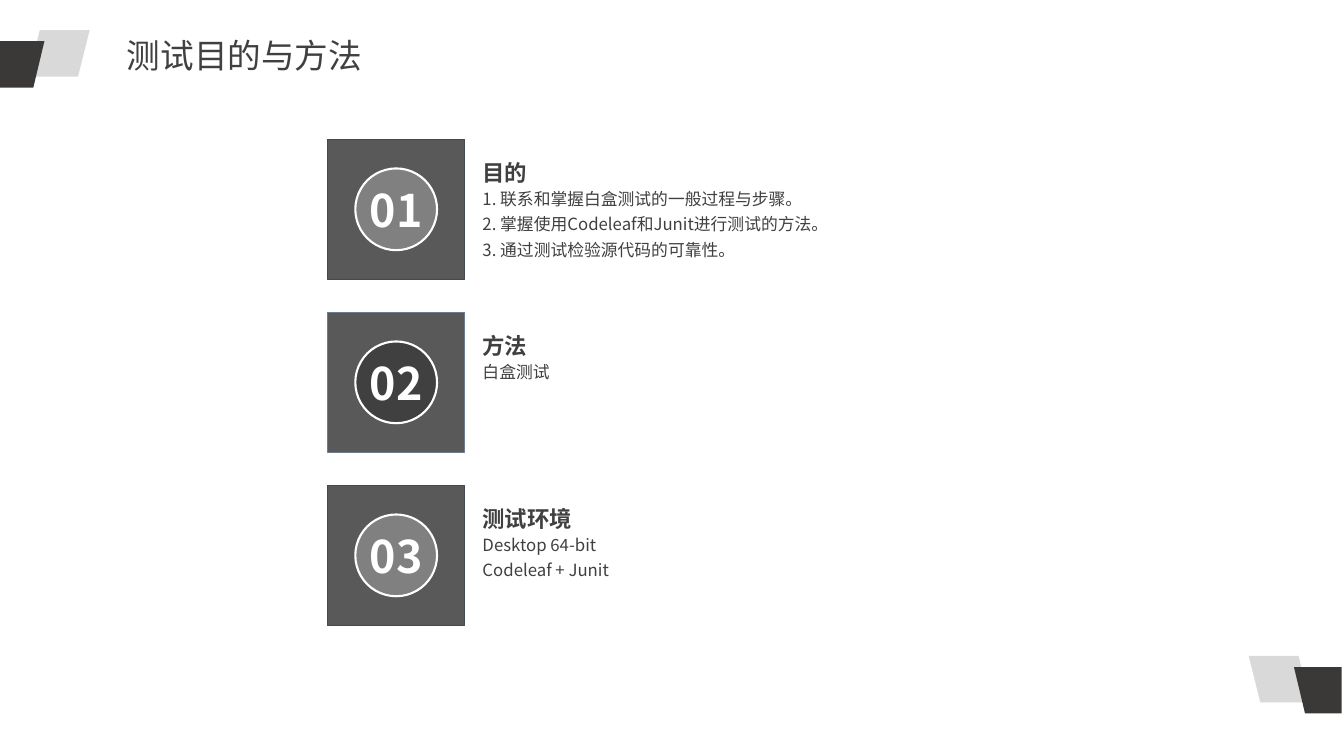
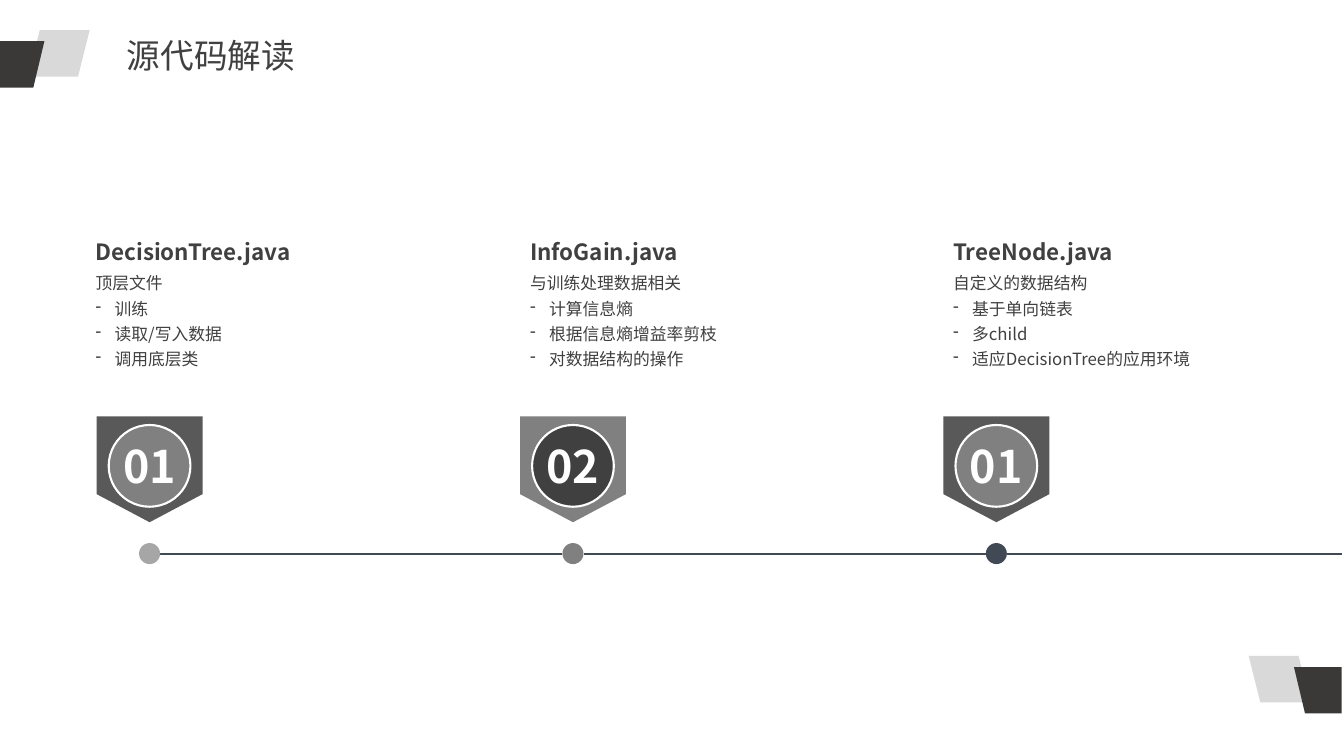
from lxml.etree import SubElement
from pptx import Presentation
from pptx.dml.color import RGBColor
from pptx.enum.shapes import MSO_CONNECTOR, MSO_SHAPE
from pptx.enum.text import MSO_ANCHOR, MSO_AUTO_SIZE, PP_ALIGN
from pptx.oxml.ns import qn
from pptx.util import Cm, Pt

FONT = "Noto Sans CJK SC"
HEX = {
    "white": "FFFFFF", "pale": "D9D9D9", "ash": "A6A6A6", "gray": "808080",
    "stone": "595959", "text": "404040", "coal": "3B3838",
    "navy": "414955", "steel": "6F7C8F",
}
WIDE, HIGH = 33.87, 19.05
DISC = 2.06

TOPICS = [
    ("01", "gray", "navy", "目的", [
        "1. 联系和掌握白盒测试的一般过程与步骤。",
        "2. 掌握使用Codeleaf和Junit进行测试的方法。",
        "3. 通过测试检验源代码的可靠性。"]),
    ("02", "text", "steel", "方法", ["白盒测试"]),
    ("03", "gray", "navy", "测试环境", ["Desktop 64-bit", "Codeleaf + Junit"]),
]

# number, disc, pin, dot, text left, file, lines
FILES = [
    ("01", "gray", "stone", "ash", 2.16, "DecisionTree.java",
     ["顶层文件", "训练", "读取/写入数据", "调用底层类"]),
    ("02", "text", "gray", "gray", 13.11, "InfoGain.java",
     ["与训练处理数据相关", "计算信息熵", "根据信息熵增益率剪枝", "对数据结构的操作"]),
    ("01", "gray", "stone", "navy", 23.77, "TreeNode.java",
     ["自定义的数据结构", "基于单向链表", "多child", "适应DecisionTree的应用环境"]),
]


def tint(name):
    return RGBColor.from_string(HEX[name])


def paint(shape, fill, line=None, width=1):
    shape.shadow.inherit = False
    shape.fill.solid()
    shape.fill.fore_color.rgb = tint(fill)
    if line:
        shape.line.color.rgb = tint(line)
        shape.line.width = Pt(width)
    else:
        shape.line.fill.background()
    return shape


def form(slide, kind, x, y, w, h, fill, line=None, width=1):
    shape = slide.shapes.add_shape(kind, Cm(x), Cm(y), Cm(w), Cm(h))
    return paint(shape, fill, line, width)


def dash(par):
    """Give the paragraph a hanging dash as its bullet."""
    props = par._p.get_or_add_pPr()
    props.set("marL", str(Cm(0.48)))
    props.set("indent", str(-Cm(0.48)))
    SubElement(props, qn("a:buChar")).set("char", "-")


def write(shape, lines, size=12, bold=False, color="text", align=None,
          space=None, dashed=False):
    """Fill the shape with lines; if dashed, all but the first get a dash."""
    frame = shape.text_frame
    for i, line in enumerate(lines):
        par = frame.add_paragraph() if i else frame.paragraphs[0]
        par.alignment = align
        par.line_spacing = space
        if dashed and i:
            dash(par)
        run = par.add_run()
        run.text = line
        font = run.font
        font.size = Pt(size)
        font.bold = bold
        font.color.rgb = tint(color)
        font.name = FONT
        SubElement(run._r.get_or_add_rPr(), qn("a:ea")).set("typeface", FONT)


def label(slide, x, y, w, h, lines, **style):
    box = slide.shapes.add_textbox(Cm(x), Cm(y), Cm(w), Cm(h))
    box.text_frame.word_wrap = True
    box.text_frame.auto_size = MSO_AUTO_SIZE.SHAPE_TO_FIT_TEXT
    write(box, lines, **style)


def badge(slide, x, y, number, fill):
    """Draw a numbered disc centred on x, y."""
    disc = form(slide, MSO_SHAPE.OVAL, x - DISC / 2, y - DISC / 2, DISC, DISC,
                fill, "white", 1.5)
    frame = disc.text_frame
    frame.margin_left = frame.margin_right = 0
    frame.margin_top = frame.margin_bottom = 0
    frame.vertical_anchor = MSO_ANCHOR.MIDDLE
    write(disc, [number], size=32, bold=True, color="white",
          align=PP_ALIGN.CENTER)


def rule(slide, start, end, y):
    line = slide.shapes.add_connector(
        MSO_CONNECTOR.STRAIGHT, Cm(start), Cm(y), Cm(end), Cm(y))
    line.line.color.rgb = tint("navy")
    line.line.width = Pt(1.5)
    SubElement(line.element.spPr, qn("a:effectLst"))


def corner(slide, drop=0, flip=False):
    """Draw the pair of slanted tabs, mirrored to the right if flip."""
    def side(x):
        return 33.73 - x if flip else x

    left = side(0.71 + 1.55) if flip else 0.71
    tab = form(slide, MSO_SHAPE.PARALLELOGRAM, left, 0.76 + drop, 1.55, 1.17,
               "pale")
    if flip:
        tab.element.spPr.find(qn("a:xfrm")).set("flipH", "1")
    top, base = 1.04 + drop, 2.21 + drop
    spots = [(Cm(side(x)), Cm(y)) for x, y in
             [(-0.08, top), (1.12, top), (0.84, base), (-0.08, base)]]
    path = slide.shapes.build_freeform(*spots[0], scale=1.0)
    path.add_line_segments(spots[1:], close=True)
    paint(path.convert_to_shape(), "coal")


def page(deck, title):
    slide = deck.slides.add_slide(deck.slide_layouts[6])
    corner(slide)
    corner(slide, drop=15.77, flip=True)
    label(slide, 2.95, 0.76, 15.06, 1.27, [title], size=24)
    return slide


def goals(deck):
    slide = page(deck, "测试目的与方法")
    left, wide, high = 8.26, 3.45, 3.53
    for i, (number, fill, edge, head, lines) in enumerate(TOPICS):
        top = 3.51 + i * 4.36
        form(slide, MSO_SHAPE.RECTANGLE, left, top, wide, high, "stone", edge)
        badge(slide, left + wide / 2, top + high / 2, number, fill)
        label(slide, 11.91, top + 1, 8.86, 0.64 * len(lines) + 0.2, lines,
              space=1.25)
        label(slide, 11.91, top + 0.2, 3.76, 1.04, [head], size=16, bold=True,
              space=1.25)


def source(deck):
    slide = page(deck, "源代码解读")
    first, step, pin, dot, base = 3.77, 10.67, 2.67, 0.53, 13.95
    for i, (number, fill, back, spot, left, head, lines) in enumerate(FILES):
        mid = first + i * step
        last = i == len(FILES) - 1
        rule(slide, mid + dot / 2, 33.81 if last else mid + step - dot / 2,
             base)
        form(slide, MSO_SHAPE.OVAL, mid - dot / 2, base - dot / 2, dot, dot,
             spot)
        flag = form(slide, MSO_SHAPE.PENTAGON, mid - pin / 2, 10.49, pin, pin,
                    back)
        flag.rotation = 90
        flag.adjustments[0] = 0.265
        badge(slide, mid, 11.74, number, fill)
        label(slide, left, 6.63, 8.56, 2.77, lines, space=1.25, dashed=True)
        label(slide, left, 5.87, 6.45, 0.94, [head], size=16, bold=True)


def main():
    deck = Presentation()
    deck.slide_width, deck.slide_height = Cm(WIDE), Cm(HIGH)
    goals(deck)
    source(deck)
    deck.save("out.pptx")


if __name__ == "__main__":
    main()
